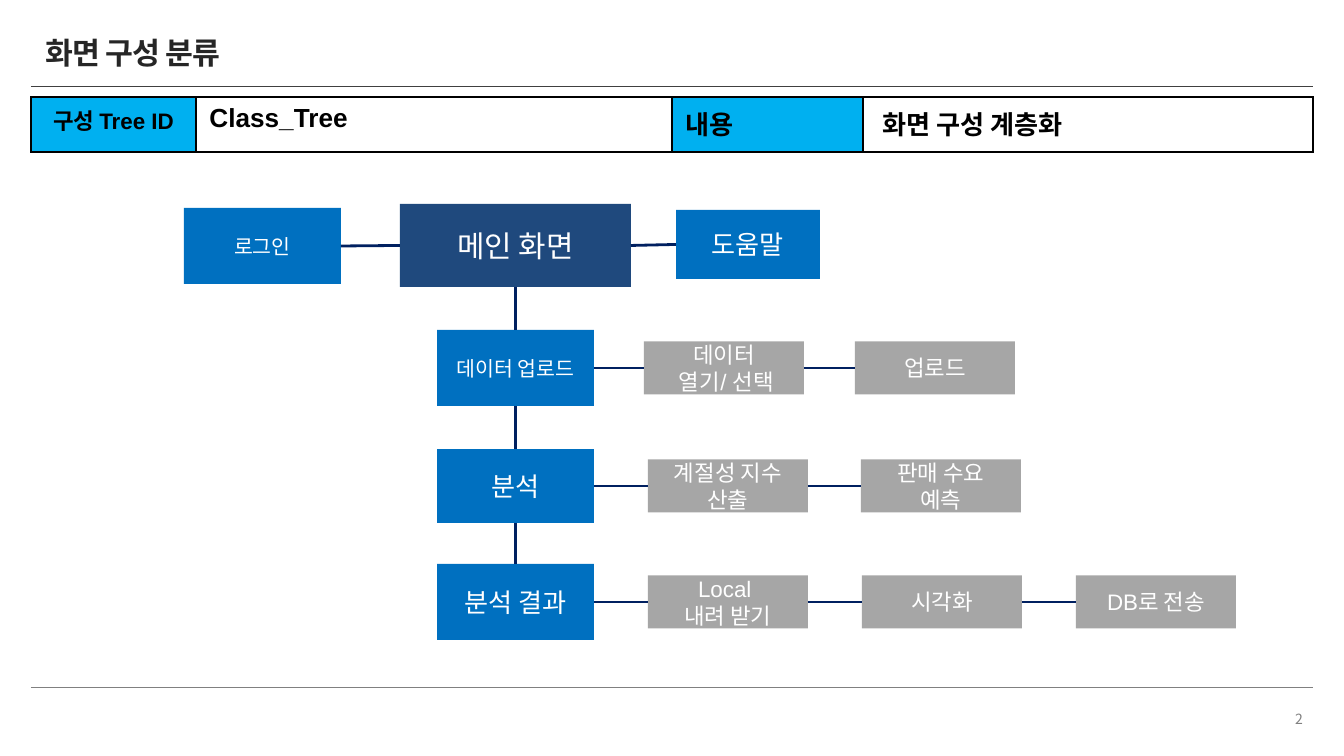
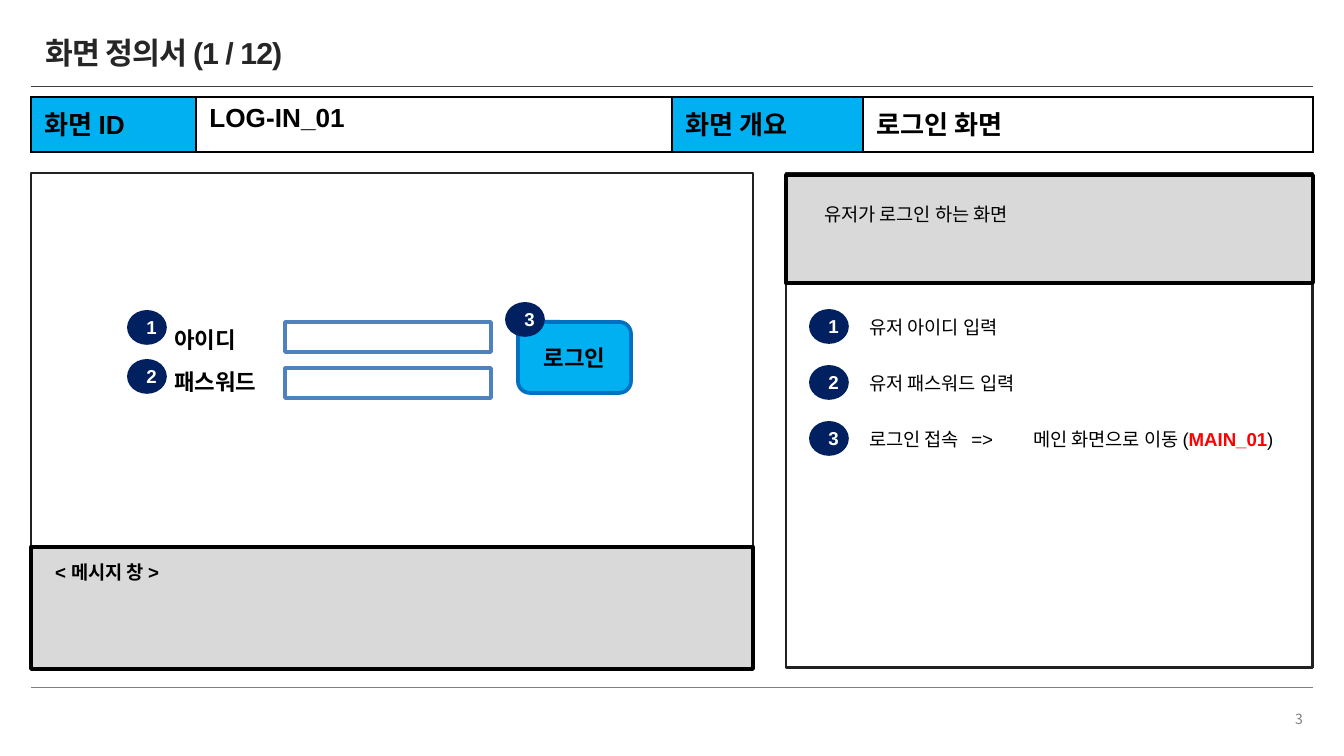
"""Builds a two-slide screen specification: the screen tree and the login screen."""
from dataclasses import dataclass

from lxml.etree import SubElement
from pptx import Presentation
from pptx.dml.color import RGBColor
from pptx.enum.shapes import MSO_CONNECTOR as Link, MSO_SHAPE as Shape
from pptx.enum.text import MSO_ANCHOR as Anchor, MSO_AUTO_SIZE as AutoSize, PP_ALIGN as Align
from pptx.oxml.ns import qn
from pptx.util import Pt


@dataclass(frozen=True)
class Theme:
    font: str = "Arial"
    east: str = "Noto Sans CJK KR"
    black: str = "000000"
    white: str = "FFFFFF"
    title: str = "262626"
    rule: str = "404040"
    muted: str = "808080"
    frame: str = "212121"
    navy: str = "002060"
    main: str = "1F497D"
    blue: str = "0070C0"
    sky: str = "00B0F0"
    field: str = "4F81BD"
    leaf: str = "A6A6A6"
    panel: str = "D9D9D9"
    red: str = "FF0000"
    title_size: float = 16.2
    number_size: float = 7.5
    main_size: float = 16
    large: float = 14
    medium: float = 12
    small: float = 11
    note: float = 10


THEME = Theme()
WIDTH, HEIGHT = 1344, 756
LEFT, RIGHT = 31, 1313
HEADER_COLUMNS = (165, 476, 191, 450)

TREE_TITLE = "화면 구성 분류"
TREE_HEADER = ("구성 Tree ID", "Class_Tree", "내용", " 화면 구성 계층화")
LOGIN_TITLE = "화면 정의서 (1 / 12)"
LOGIN_HEADER = ("화면 ID", "LOG-IN_01", "화면 개요", "로그인 화면")

TOP_ROW = [
    ("로그인", (184, 208, 157, 76), THEME.blue, THEME.small),
    ("메인 화면", (400, 204, 231, 83), THEME.main, THEME.main_size),
    ("도움말", (676, 210, 144, 69), THEME.blue, THEME.large),
]
BRANCH_LEFT, BRANCH_WIDTH = 437, 157
LEAF_WIDTH, LEAF_HEIGHT = 160, 53
BRANCHES = [
    ("데이터 업로드", 330, 76, THEME.small, [("데이터\n 열기/ 선택", 644), ("업로드", 855)]),
    ("분석", 449, 74, THEME.large, [("계절성 지수 산출", 648), ("판매 수요 예측", 861)]),
    ("분석 결과", 564, 76, THEME.large,
     [("Local \n내려 받기", 648), ("시각화", 862), ("DB로 전송", 1076)]),
]

PANELS = [
    ((31, 173, 722, 495), None, THEME.frame, 1.5),
    ((786, 173, 527, 495), None, THEME.frame, 1.5),
    ((31, 547, 722, 122), THEME.panel, THEME.black, 2),
    ((786, 175, 527, 108), THEME.panel, THEME.black, 2),
]
FIELDS = [("아이디", 320, 322), ("패스워드", 362, 368)]
LOGIN_BUTTON = ("로그인", (518, 322, 113, 71))
SCREEN_BADGES = [(129, 312), (129, 361), (507, 304)]
MESSAGE = ("< 메시지 창 >", (42, 554, 149, 36))
SUMMARY = ("유저가 로그인 하는 화면", (811, 196, 235, 36))
STEPS_TOP, STEP_GAP = 309, 56
STEPS = [
    [(["유저 아이디 입력"], 856, 172)],
    [(["유저 패스워드 입력"], 856, 191)],
    [(["로그인 접속   =>"], 856, 175), (["메인 화면으로 이동 (", "MAIN_01", ")"], 1020, 292)],
]

deck = Presentation()
SCALE = 914400 / 134.4


def px(*values):
    return [round(value * SCALE) for value in values]


def rgb(color):
    return RGBColor.from_string(color)


def style(span, size, color, bold=False, spacing=None, font=THEME.font):
    span.font.size, span.font.bold, span.font.name = Pt(size), bold, font
    span.font.color.rgb = rgb(color)
    properties = span.font._element
    SubElement(properties, qn("a:ea")).set("typeface", THEME.east)
    if spacing:
        properties.set("spc", str(spacing))


def write(frame, text, size, color, bold=False, align=Align.LEFT, **extra):
    frame.text = text
    for para in frame.paragraphs:
        para.alignment = align
        for span in para.runs:
            style(span, size, color, bold, **extra)


def add_box(page, area, fill=None, line=None, weight=1, text="", size=THEME.note,
            color=THEME.white, bold=False, kind=Shape.RECTANGLE):
    box = page.shapes.add_shape(kind, *px(*area))
    box.shadow.inherit = False
    if fill:
        box.fill.solid()
        box.fill.fore_color.rgb = rgb(fill)
    else:
        box.fill.background()
    if line:
        box.line.color.rgb = rgb(line)
        box.line.width = Pt(weight)
    else:
        box.line.fill.background()
    if text:
        box.text_frame.word_wrap = True
        box.text_frame.vertical_anchor = Anchor.MIDDLE
        write(box.text_frame, text, size, color, bold, Align.CENTER)
    return box


def add_line(page, ends, color, weight):
    line = page.shapes.add_connector(Link.STRAIGHT, *px(*ends))
    line.line.color.rgb = rgb(color)
    line.line.width = Pt(weight)
    SubElement(line._element.spPr, qn("a:effectLst"))
    return line


def join(page, first, second, sites):
    line = add_line(page, (0, 0, 0, 0), THEME.navy, 1.5)
    line.begin_connect(first, sites[0])
    line.end_connect(second, sites[1])


def join_across(page, boxes):
    for first, second in zip(boxes, boxes[1:]):
        join(page, first, second, (3, 1))


def add_label(page, area, text, size=THEME.note, bold=False):
    label = page.shapes.add_textbox(*px(*area))
    frame = label.text_frame
    frame.word_wrap = False
    frame.auto_size = AutoSize.SHAPE_TO_FIT_TEXT
    write(frame, text, size, THEME.black, bold)
    return frame


def add_badge(page, number, left, top):
    add_box(page, (left, top, 36, 31), THEME.navy, THEME.navy, 2, str(number),
            bold=True, kind=Shape.OVAL)


def add_border(cell):
    properties = cell._tc.get_or_add_tcPr()
    for index, side in enumerate(("lnL", "lnR", "lnT", "lnB")):
        edge = properties.makeelement(qn("a:" + side), {"w": str(Pt(1))})
        fill = SubElement(edge, qn("a:solidFill"))
        SubElement(fill, qn("a:srgbClr")).set("val", THEME.black)
        properties.insert(index, edge)


def add_header(page, texts, first_size, first_align):
    table = page.shapes.add_table(1, 4, *px(LEFT, 97, RIGHT - LEFT, 55)).table
    table.first_row = table.horz_banding = False
    for index, (text, width) in enumerate(zip(texts, px(*HEADER_COLUMNS))):
        table.columns[index].width = width
        cell = table.cell(0, index)
        if index % 2:
            cell.fill.background()
        else:
            cell.fill.solid()
            cell.fill.fore_color.rgb = rgb(THEME.sky)
        size, align = (THEME.large, Align.LEFT) if index else (first_size, first_align)
        write(cell.text_frame, text, size, THEME.black, True, align)
        add_border(cell)


def add_page(title, number, header, first_size=THEME.large, first_align=Align.LEFT):
    page = deck.slides.add_slide(deck.slide_layouts[5])
    add_line(page, (LEFT, 688, RIGHT, 688), THEME.muted, 0.5)
    add_line(page, (LEFT, 86, RIGHT, 86), THEME.rule, 0.5)

    heading = page.shapes.title
    heading.left, heading.top, heading.width, heading.height = px(46, 27, 1190, 56)
    frame = heading.text_frame
    frame.auto_size, frame.word_wrap = AutoSize.NONE, True
    frame.vertical_anchor = Anchor.MIDDLE
    frame.margin_left, frame.margin_right, frame.margin_top, frame.margin_bottom = px(0, 13, 13, 13)
    write(frame, title, THEME.title_size, THEME.title, True, spacing=-50)
    frame.paragraphs[0].line_spacing = 0.9

    frame = page.shapes.add_textbox(*px(1266, 699, 46, 40)).text_frame
    frame.word_wrap, frame.vertical_anchor = True, Anchor.MIDDLE
    frame.margin_left, frame.margin_right, frame.margin_top, frame.margin_bottom = px(9, 9, 5, 5)
    write(frame, str(number), THEME.number_size, THEME.muted, align=Align.RIGHT,
          spacing=-60, font=THEME.east)

    add_header(page, header, first_size, first_align)
    return page


def build_tree():
    page = add_page(TREE_TITLE, 2, TREE_HEADER, THEME.medium, Align.CENTER)
    top = [add_box(page, area, fill, text=text, size=size) for text, area, fill, size in TOP_ROW]
    join_across(page, top)
    parent = top[1]
    for text, y, height, size, leaves in BRANCHES:
        branch = add_box(page, (BRANCH_LEFT, y, BRANCH_WIDTH, height), THEME.blue,
                         text=text, size=size)
        join(page, parent, branch, (2, 0))
        leaf_top = y + (height - LEAF_HEIGHT) / 2
        row = [add_box(page, (x, leaf_top, LEAF_WIDTH, LEAF_HEIGHT), THEME.leaf,
                       text=leaf, size=THEME.medium) for leaf, x in leaves]
        join_across(page, [branch] + row)
        parent = branch


def build_login():
    page = add_page(LOGIN_TITLE, 3, LOGIN_HEADER)
    for panel in PANELS:
        add_box(page, *panel)
    for text, label_top, field_top in FIELDS:
        add_label(page, (161, label_top, 30 * len(text), 40), text, THEME.medium, True)
        add_box(page, (285, field_top, 206, 30), None, THEME.field, 2)
    text, area = LOGIN_BUTTON
    add_box(page, area, THEME.sky, THEME.blue, 2, text, THEME.medium, THEME.black, True,
            Shape.ROUNDED_RECTANGLE)
    for number, place in enumerate(SCREEN_BADGES, 1):
        add_badge(page, number, *place)
    add_label(page, MESSAGE[1], MESSAGE[0], bold=True)
    add_label(page, SUMMARY[1], SUMMARY[0])
    for index, parts in enumerate(STEPS):
        top = STEPS_TOP + index * STEP_GAP
        add_badge(page, index + 1, 811, top + 2)
        for spans, left, width in parts:
            frame = add_label(page, (left, top, width, 36), spans[0])
            for text in spans[1:]:
                span = frame.paragraphs[0].add_run()
                span.text = text
                target = text == "MAIN_01"
                style(span, THEME.note, THEME.red if target else THEME.black, target)


deck.slide_width, deck.slide_height = px(WIDTH, HEIGHT)
build_tree()
build_login()
deck.save("out.pptx")
